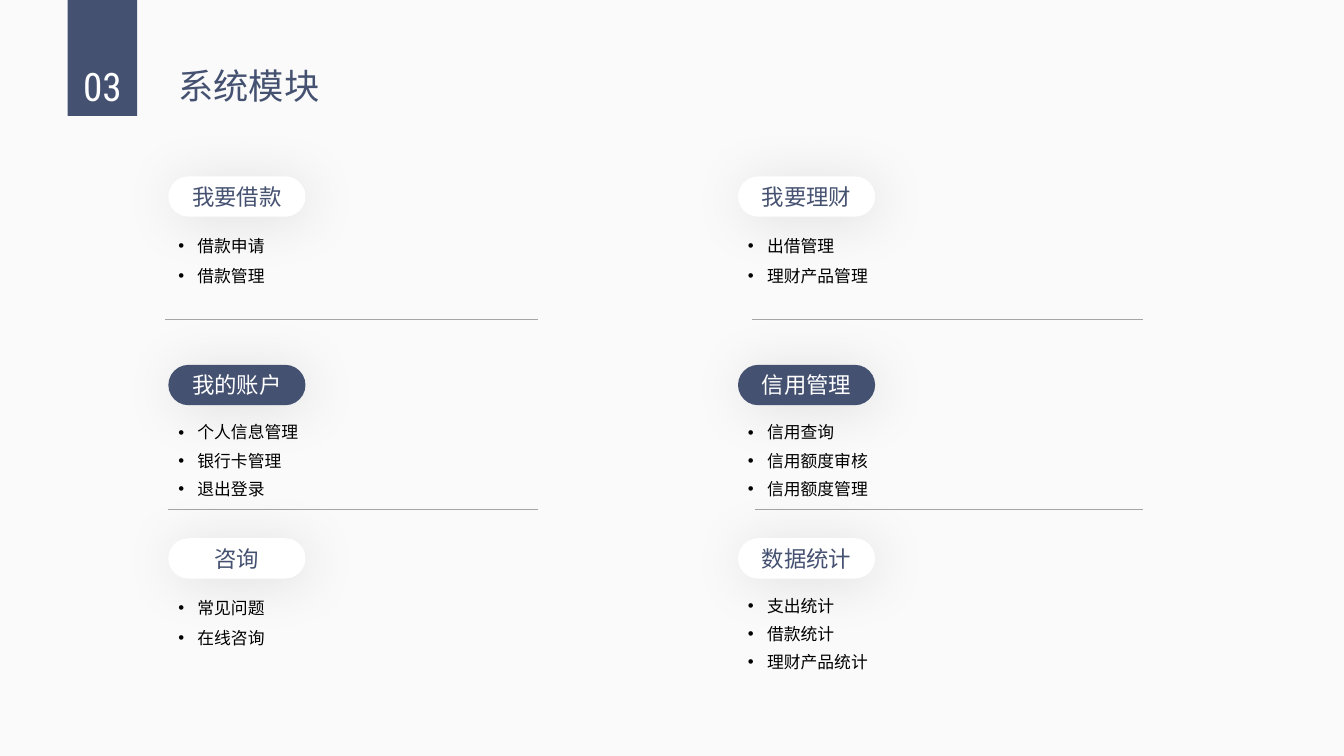
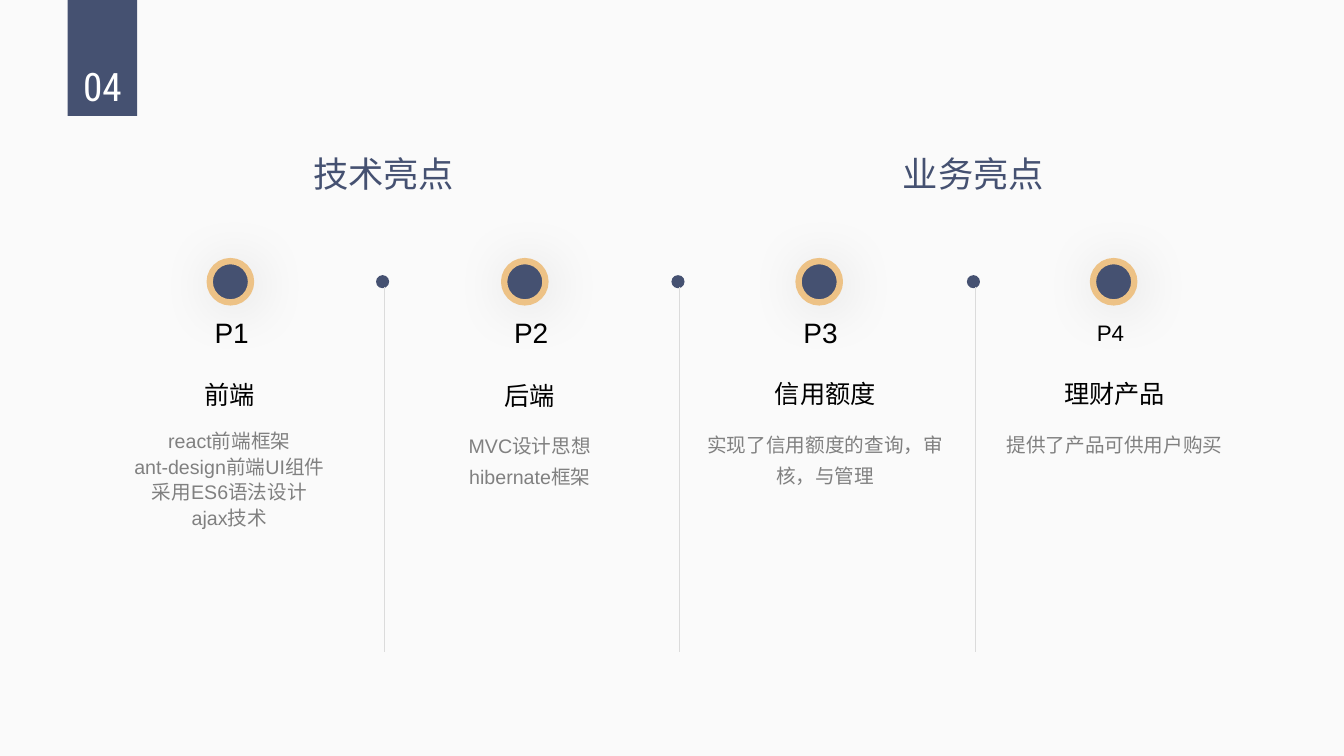
from dataclasses import dataclass
from typing import Optional

from lxml import etree
from pptx import Presentation
from pptx import util as u
from pptx.dml.color import RGBColor
from pptx.enum import shapes, text
from pptx.oxml import ns

COLOURS = {
    "paper": "FAFAFA", "navy": "455171", "white": "FFFFFF", "black": "000000",
    "gold": "EDC286", "body": "808080", "rule": "A5A5A5", "divider": "DBDBDB",
}
FONT, NUMBER_FONT = "Arial", "Roboto Condensed"
TITLE_SIZE = 25.2
LEFT, CENTER = text.PP_ALIGN.LEFT, text.PP_ALIGN.CENTER
TOP, MIDDLE = text.MSO_ANCHOR.TOP, text.MSO_ANCHOR.MIDDLE
SHAPE = shapes.MSO_SHAPE

# Module grid: two columns, three rows
MODULE_LEFT, MODULE_PITCH = 1.67, 5.65
MODULE_TOPS = (1.75, 3.62, 5.34)
RULE_SPANS = ((1.64, 5.34), (7.46, 11.34))
RULE_TOPS = (3.17, 5.05)

# Highlight grid: four columns with a divider in each gap
MARKER_LEFT, MARKER_PITCH = 2.08, 2.92
DOT_LEFT, DIVIDER_LEFT, DIVIDER_PITCH = 3.73, 3.81, 2.93
COLUMN_WIDTH = 2.67


@dataclass(frozen=True)
class Box:
    left: float
    top: float
    width: float
    height: float

    def lengths(self) -> list:
        return [u.Inches(n) for n in (self.left, self.top, self.width, self.height)]


@dataclass(frozen=True)
class Style:
    size: float
    colour: str = "black"
    font: str = FONT
    align: text.PP_ALIGN = LEFT
    anchor: text.MSO_ANCHOR = TOP
    spacing: Optional[float] = None
    bullet: bool = False


@dataclass(frozen=True)
class Module:
    column: int
    row: int
    name: str
    items: tuple
    spacing: float


@dataclass(frozen=True)
class Highlight:
    label: str
    label_left: float
    label_size: float
    name: str
    name_top: float
    left: float
    body_top: float
    lines: tuple
    spacing: float = 1.3


MODULES = (
    Module(0, 0, "我要借款", ("借款申请", "借款管理"), 1.5),
    Module(0, 1, "我的账户", ("个人信息管理", "银行卡管理", "退出登录"), 1.4),
    Module(0, 2, "咨询", ("常见问题", "在线咨询"), 1.5),
    Module(1, 0, "我要理财", ("出借管理", "理财产品管理"), 1.5),
    Module(1, 1, "信用管理", ("信用查询", "信用额度审核", "信用额度管理"), 1.4),
    Module(1, 2, "数据统计", ("支出统计", "借款统计", "理财产品统计"), 1.4),
)
HIGHLIGHTS = (
    Highlight("P1", 2.03, 20, "前端", 3.69, 0.94, 4.18,
              ("react前端框架", "ant-design前端UI组件", "采用ES6语法设计", "ajax技术"), 1.1),
    Highlight("P2", 5, 20, "后端", 3.7, 3.92, 4.19, ("MVC设计思想", "hibernate框架")),
    Highlight("P3", 7.87, 20, "信用额度", 3.68, 6.85, 4.18,
              ("实现了信用额度的查询，审核，与管理",)),
    Highlight("P4", 10.78, 16, "理财产品", 3.68, 9.72, 4.18, ("提供了产品可供用户购买",)),
)


def rgb(name: str) -> RGBColor:
    return RGBColor.from_string(COLOURS[name])


def write(shape, lines: tuple, style: Style) -> None:
    """Fill a shape with one paragraph per line."""
    frame = shape.text_frame
    frame.word_wrap = True
    frame.vertical_anchor = style.anchor
    frame.text = "\n".join(lines)
    for para in frame.paragraphs:
        para.alignment = style.align
        if style.spacing:
            para.line_spacing = style.spacing
        if style.bullet:
            add_bullet(para)
        for span in para.runs:
            span.font.size = u.Pt(style.size)
            span.font.name = style.font
            span.font.color.rgb = rgb(style.colour)


def add_bullet(para) -> None:
    props = para._p.get_or_add_pPr()
    indent = u.Inches(0.19)
    props.set("marL", str(indent))
    props.set("indent", str(-indent))
    etree.SubElement(props, ns.qn("a:buFont")).set("typeface", FONT)
    etree.SubElement(props, ns.qn("a:buChar")).set("char", "•")


def add_text(page, box: Box, lines: tuple, style: Style) -> None:
    write(page.shapes.add_textbox(*box.lengths()), lines, style)


def add_figure(page, kind, box: Box, fill: str, outline: Optional[str] = None,
               shadow: bool = False):
    figure = page.shapes.add_shape(kind, *box.lengths())
    figure.fill.solid()
    figure.fill.fore_color.rgb = rgb(fill)
    if outline:
        figure.line.color.rgb = rgb(outline)
        figure.line.width = u.Pt(4.5)
    else:
        figure.line.fill.background()
    figure.shadow.inherit = False
    if shadow:
        add_soft_shadow(figure)
    return figure


def add_soft_shadow(figure) -> None:
    effects = figure.element.spPr.find(ns.qn("a:effectLst"))
    outer = etree.SubElement(effects, ns.qn("a:outerShdw"), blurRad=str(u.Pt(40)),
                             dist=str(u.Pt(4)), dir=str(45 * 60000),
                             algn="tl", rotWithShape="0")
    tint = etree.SubElement(outer, ns.qn("a:srgbClr"), val=COLOURS["black"])
    etree.SubElement(tint, ns.qn("a:alpha"), val="11000")


def add_line(page, start: tuple, end: tuple, colour: str, width: float) -> None:
    ends = [u.Inches(n) for n in (*start, *end)]
    line = page.shapes.add_connector(shapes.MSO_CONNECTOR.STRAIGHT, *ends)
    line.line.color.rgb = rgb(colour)
    line.line.width = u.Pt(width)
    etree.SubElement(line.element.spPr, ns.qn("a:effectLst"))


def add_page(deck, number: str):
    """Blank page with the shared background and numbered band."""
    page = deck.slides.add_slide(deck.slide_layouts[6])
    page.background.fill.solid()
    page.background.fill.fore_color.rgb = rgb("paper")
    add_figure(page, SHAPE.RECTANGLE, Box(0.67, 0, 0.69, 1.15), "navy")
    add_text(page, Box(0.67, 0.57, 0.69, 0.57), (number,),
             Style(28, "white", NUMBER_FONT, CENTER))
    return page


def add_title(page, box: Box, title: str, align: text.PP_ALIGN = LEFT) -> None:
    add_text(page, box, (title,), Style(TITLE_SIZE, "navy", align=align))


def add_module(page, module: Module) -> None:
    left = MODULE_LEFT + module.column * MODULE_PITCH
    top = MODULE_TOPS[module.row]
    fill, ink = ("navy", "white") if module.row == 1 else ("white", "navy")
    pill = add_figure(page, SHAPE.ROUNDED_RECTANGLE, Box(left, top, 1.36, 0.4),
                      fill, shadow=True)
    pill.adjustments[0] = 0.5
    write(pill, (module.name,), Style(16, ink, align=CENTER, anchor=MIDDLE))
    add_text(page, Box(left, top + 0.44, 4.54, 0.97), module.items,
             Style(12, spacing=module.spacing, bullet=True))


def add_highlight(page, column: int, item: Highlight) -> None:
    marker_left = MARKER_LEFT + column * MARKER_PITCH
    add_figure(page, SHAPE.OVAL, Box(marker_left, 2.59, 0.41, 0.41),
               "navy", "gold", shadow=True)
    add_text(page, Box(item.label_left, 3.08, 0.6, 0.44), (item.label,),
             Style(item.label_size, anchor=MIDDLE))
    add_text(page, Box(item.left, item.name_top, COLUMN_WIDTH, 0.44), (item.name,),
             Style(18, align=CENTER, anchor=MIDDLE))
    add_text(page, Box(item.left, item.body_top, COLUMN_WIDTH, 1.17), item.lines,
             Style(14, "body", align=CENTER, spacing=item.spacing))


def build_modules(deck) -> None:
    page = add_page(deck, "03")
    add_title(page, Box(1.67, 0.59, 1.77, 0.57), "系统模块")
    # Rules between rows; the lower ones start slightly further in
    for start, end in RULE_SPANS:
        for row, top in enumerate(RULE_TOPS):
            add_line(page, (start + 0.03 * row, top), (end, top), "rule", 0.25)
    for module in MODULES:
        add_module(page, module)


def build_highlights(deck) -> None:
    page = add_page(deck, "04")
    for left, title in ((2.05, "技术亮点"), (7.9, "业务亮点")):
        add_title(page, Box(left, 1.46, 3.51, 0.57), title, CENTER)
    # Dotted-head dividers in the gaps between columns
    for gap in range(len(HIGHLIGHTS) - 1):
        shift = gap * DIVIDER_PITCH
        add_figure(page, SHAPE.OVAL, Box(DOT_LEFT + shift, 2.73, 0.13, 0.13), "navy")
        x = DIVIDER_LEFT + shift
        add_line(page, (x, 2.85), (x, 6.47), "divider", 0.5)
    for column, item in enumerate(HIGHLIGHTS):
        add_highlight(page, column, item)


def main() -> None:
    deck = Presentation()
    deck.slide_width, deck.slide_height = u.Inches(13.33), u.Inches(7.5)
    build_modules(deck)
    build_highlights(deck)
    deck.save("out.pptx")


if __name__ == "__main__":
    main()
